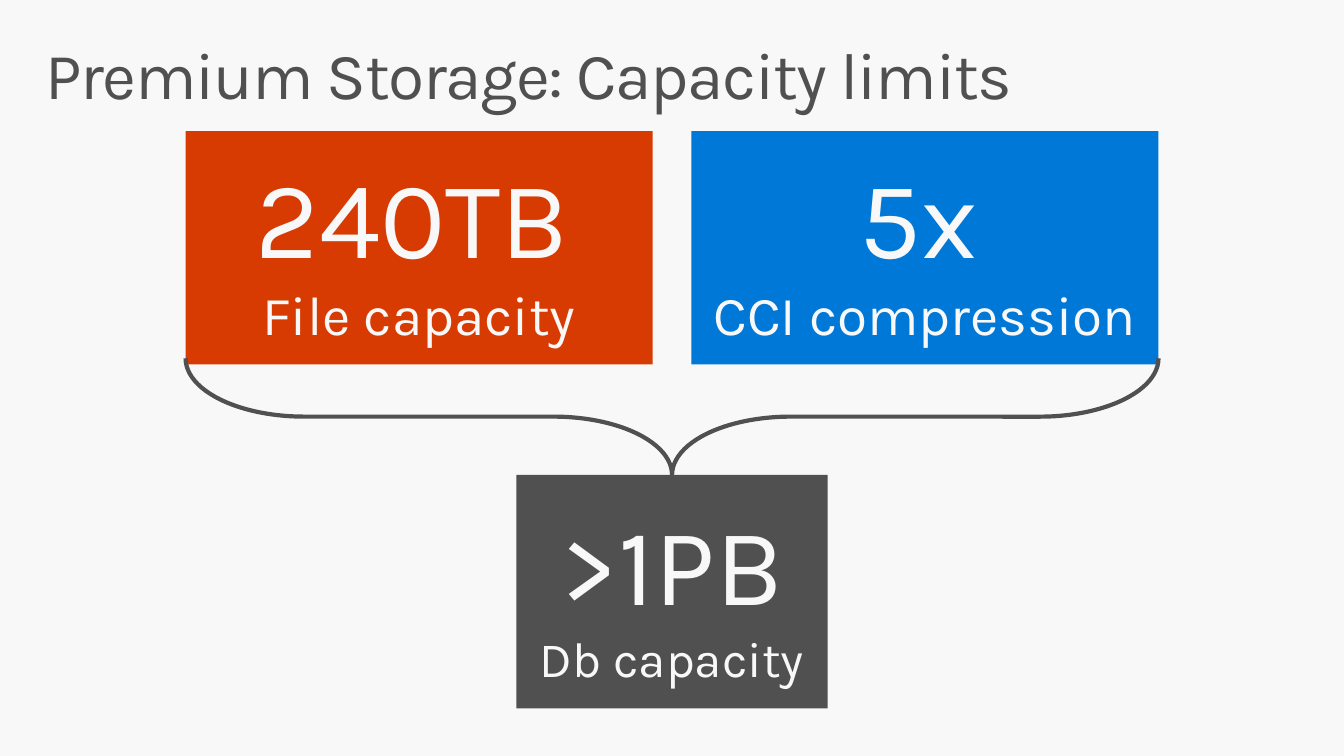
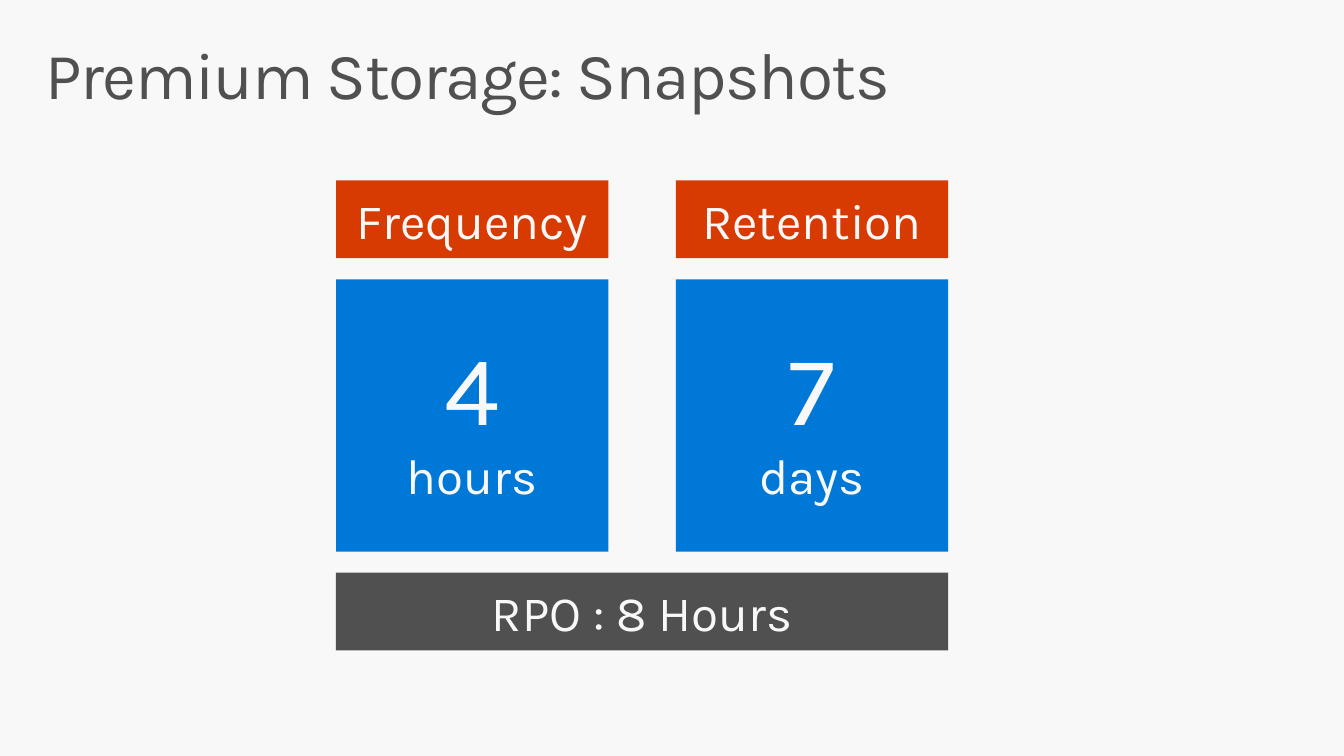
from dataclasses import dataclass

from pptx import Presentation
from pptx.dml.color import RGBColor
from pptx.enum.shapes import MSO_SHAPE as Shape
from pptx.enum.text import MSO_ANCHOR as Anchor, PP_ALIGN as Align
from pptx.util import Inches, Pt

WIDTH, HEIGHT = 13.33, 7.5
MODULE = 9.65 / 25
FONT = "Karla"
COLOURS = {
    "background": "F8F8F8",
    "grey": "505050",
    "orange": "D83B01",
    "blue": "0078D7",
}


@dataclass(frozen=True)
class Run:
    """A stretch of text in one size."""
    text: str
    size: float


@dataclass(frozen=True)
class Grid:
    """A field of square modules, placed by its top left corner in inches."""
    left: float
    top: float

    def frame(self, column: float, row: float, columns: float, rows: float):
        """Return left, top, width and height of a block of modules."""
        return (
            Inches(self.left + column * MODULE),
            Inches(self.top + row * MODULE),
            Inches(columns * MODULE),
            Inches(rows * MODULE),
        )


@dataclass(frozen=True)
class Tile:
    """A filled rectangle, in modules, with one tuple of runs per line."""
    column: float
    row: float
    columns: float
    rows: float
    colour: str
    lines: tuple[tuple[Run, ...], ...]


def rgb(name: str) -> RGBColor:
    """Return a named colour."""
    return RGBColor.from_string(COLOURS[name])


def set_insets(text_frame, across: float, down: float) -> None:
    """Set the side and the top and bottom margins in inches."""
    text_frame.word_wrap = True
    text_frame.margin_left = text_frame.margin_right = Inches(across)
    text_frame.margin_top = text_frame.margin_bottom = Inches(down)


def add_run(paragraph, content: Run, colour: str):
    """Append one run to a paragraph and return it."""
    run = paragraph.add_run()
    run.text = content.text
    run.font.name = FONT
    run.font.size = Pt(content.size)
    run.font.color.rgb = rgb(colour)
    return run


def add_titled_slide(presentation, title: str):
    """Add a blank slide with the shared background and title."""
    slide = presentation.slides.add_slide(presentation.slide_layouts[6])
    slide.background.fill.solid()
    slide.background.fill.fore_color.rgb = rgb("background")
    box = slide.shapes.add_textbox(
        Inches(0.29), Inches(0.32), Inches(12.75), Inches(0.98))
    set_insets(box.text_frame, 0.16, 0.1)
    paragraph = box.text_frame.paragraphs[0]
    paragraph.line_spacing = 0.9
    run = add_run(paragraph, Run(title, 47), "grey")
    run.font._element.set("spc", "-100")
    return slide


def add_tile(slide, grid: Grid, tile: Tile) -> None:
    """Draw a tile with its centred lines of text."""
    shape = slide.shapes.add_shape(
        Shape.RECTANGLE,
        *grid.frame(tile.column, tile.row, tile.columns, tile.rows))
    shape.shadow.inherit = False
    shape.fill.solid()
    shape.fill.fore_color.rgb = rgb(tile.colour)
    shape.line.fill.background()
    text_frame = shape.text_frame
    set_insets(text_frame, 0, 0.05)
    text_frame.vertical_anchor = Anchor.MIDDLE
    for index, line in enumerate(tile.lines):
        paragraph = text_frame.add_paragraph() if index else text_frame.paragraphs[0]
        paragraph.alignment = Align.CENTER
        for content in line:
            add_run(paragraph, content, "background")


def add_brace(slide, grid: Grid, row: float, columns: float, rows: float) -> None:
    """Draw a brace that points down, as a right brace turned a quarter."""
    offset = (columns - rows) / 2
    brace = slide.shapes.add_shape(
        Shape.RIGHT_BRACE, *grid.frame(offset, row - offset, rows, columns))
    brace.rotation = 90
    brace.adjustments[0] = 1.016
    brace.adjustments[1] = 0.5
    brace.shadow.inherit = False
    brace.fill.background()
    brace.line.color.rgb = rgb("grey")
    brace.line.width = Pt(3)


def build_capacity(presentation) -> None:
    """Build the slide on capacity limits."""
    slide = add_titled_slide(presentation, "Premium Storage: Capacity limits")
    columns, wide, narrow, rows = 25, 12, 8, 6
    brace_row, brace_rows = 5.84, 3
    grid = Grid((WIDTH - columns * MODULE) / 2, 1.3)
    factors = (
        ("240TB", "File capacity", "orange"),
        ("5x", "CCI compression", "blue"),
    )
    for index, (figure, label, colour) in enumerate(factors):
        lines = ((Run(figure, 78.4), Run(" ", 39.2)), (Run(label, 39.2),))
        add_tile(slide, grid, Tile(index * (wide + 1), 0, wide, rows, colour, lines))
    add_brace(slide, grid, brace_row, columns, brace_rows)
    add_tile(slide, grid, Tile(
        (columns - narrow) / 2, brace_row + brace_rows, narrow, rows, "grey",
        ((Run(">1PB", 78.4),), (Run("Db capacity", 35.3),))))


def build_snapshots(presentation) -> None:
    """Build the slide on snapshots."""
    slide = add_titled_slide(presentation, "Premium Storage: Snapshots")
    grid = Grid(WIDTH / 4, 1.79)
    side, band, column_gap, row_gap = 7, 2, 1.73, 0.54
    figure_row = band + row_gap
    policies = (("Frequency", "4", "hours"), ("Retention", "7", "days"))
    for index, (heading, figure, unit) in enumerate(policies):
        column = index * (side + column_gap)
        add_tile(slide, grid, Tile(
            column, figure_row, side, side, "blue",
            ((Run(figure, 70.6),), (Run(unit, 35.3),))))
        add_tile(slide, grid, Tile(
            column, 0, side, band, "orange", ((Run(heading, 35.3),),)))
    add_tile(slide, grid, Tile(
        0, figure_row + side + row_gap, 2 * side + column_gap, band, "grey",
        ((Run("RPO : 8 Hours", 35.3),),)))


def main() -> None:
    """Build and save the presentation."""
    presentation = Presentation()
    presentation.slide_width = Inches(WIDTH)
    presentation.slide_height = Inches(HEIGHT)
    build_capacity(presentation)
    build_snapshots(presentation)
    presentation.save("out.pptx")


if __name__ == "__main__":
    main()
